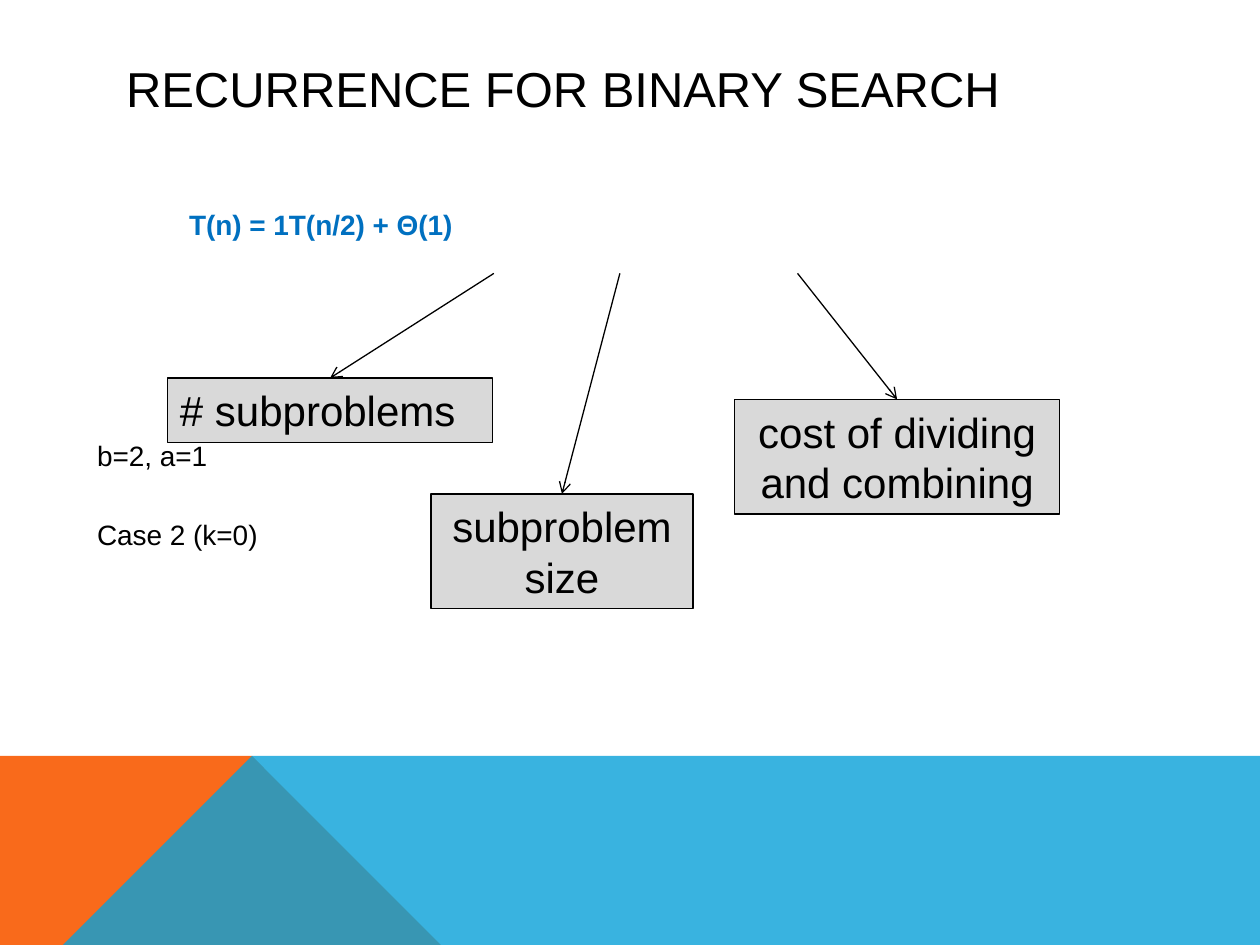
from lxml import etree
from pptx import Presentation
from pptx.dml.color import RGBColor
from pptx.enum.shapes import MSO_CONNECTOR, MSO_SHAPE
from pptx.enum.text import MSO_ANCHOR, MSO_AUTO_SIZE, PP_ALIGN
from pptx.oxml.ns import qn
from pptx.util import Inches, Pt

FONT = "Arial"
COLORS = {"ink": "000000", "formula": "0070C0", "box": "D9D9D9",
          "orange": "F96A1B", "blue": "08A1D9"}

TITLE = "RECURRENCE FOR BINARY SEARCH"
# text, level, left margin (in), space before (pt), color, bold
BODY = [
    ("T(n) = 1T(n/2) + Θ(1)", 0, 0.73, 0, "formula", True),
    ("b=2, a=1", 1, 0, 112.4, "ink", False),
    ("Case 2 (k=0)", 1, 0, 26.2, "ink", False),
]
# lines, left, top, width, height, alignment, arrow start x
CALLOUTS = [
    (["# subproblems"], 1.33, 3, 2.58, 0.51, PP_ALIGN.LEFT, 3.92),
    (["subproblem", "size"], 3.42, 3.92, 2.08, 0.91, PP_ALIGN.CENTER, 4.92),
    (["cost of dividing and combining"], 5.83, 3.17, 2.58, 0.91, PP_ALIGN.CENTER, 6.33),
]
ARROW_TOP = 2.17
# color, opacity in percent, outline points
BANDS = [
    ("orange", 100, [(0, 7.5), (0, 5.52), (2.23, 5.52), (3.91, 7.5)]),
    ("blue", 80, [(0, 7.5), (2.23, 5.52), (10, 5.52), (10, 7.5)]),
]


def rgb(name):
    return RGBColor.from_string(COLORS[name])


def style(paragraph, size, color="ink", bold=False):
    for run in paragraph.runs:
        run.font.name, run.font.size, run.font.bold = FONT, Pt(size), bold
        run.font.color.rgb = rgb(color)


def place(shape, left, top, width, height):
    shape.left, shape.top = Inches(left), Inches(top)
    shape.width, shape.height = Inches(width), Inches(height)


def add_band(slide, depth, color, opacity, points):
    builder = slide.shapes.build_freeform(*points[0], scale=Inches(1))
    builder.add_line_segments(points[1:], close=True)
    band = builder.convert_to_shape()
    band.shadow.inherit = False
    band.fill.solid()
    band.fill.fore_color.rgb = rgb(color)
    band.line.fill.background()
    if opacity < 100:
        fill_color = band.fill._xPr.find(".//" + qn("a:srgbClr"))
        etree.SubElement(fill_color, qn("a:alpha"), val=str(opacity * 1000))
    # Bands lie behind the placeholders
    slide.shapes._spTree.insert(2 + depth, band._element)


def add_callout(slide, lines, left, top, width, height, align, arrow_x):
    box = slide.shapes.add_shape(MSO_SHAPE.RECTANGLE, Inches(left), Inches(top),
                                 Inches(width), Inches(height))
    box.shadow.inherit = False
    box.fill.solid()
    box.fill.fore_color.rgb = rgb("box")
    box.line.color.rgb = rgb("ink")
    box.line.width = Pt(0.75)
    frame = box.text_frame
    frame.word_wrap = True
    frame.vertical_anchor = MSO_ANCHOR.MIDDLE
    frame.text = "\n".join(lines)
    for paragraph in frame.paragraphs:
        paragraph.alignment = align
        style(paragraph, 24)

    # Arrow to the middle of the top edge
    arrow = slide.shapes.add_connector(
        MSO_CONNECTOR.STRAIGHT, Inches(arrow_x), Inches(ARROW_TOP),
        Inches(left + width / 2), Inches(top))
    arrow.line.color.rgb = rgb("ink")
    arrow.line.width = Pt(0.75)
    etree.SubElement(arrow.line._get_or_add_ln(), qn("a:tailEnd"), type="arrow")
    etree.SubElement(arrow._element.spPr, qn("a:effectLst"))


def main():
    deck = Presentation()
    deck.slide_width, deck.slide_height = Inches(10), Inches(7.5)
    slide = deck.slides.add_slide(deck.slide_layouts[1])

    for depth, band in enumerate(BANDS):
        add_band(slide, depth, *band)

    # Title
    title = slide.shapes.title
    place(title, 0.9, 0.4, 8.22, 0.6)
    title.text_frame.text = TITLE
    title.text_frame.auto_size = MSO_AUTO_SIZE.NONE
    title.text_frame.vertical_anchor = MSO_ANCHOR.MIDDLE
    title.text_frame.paragraphs[0].alignment = PP_ALIGN.LEFT
    style(title.text_frame.paragraphs[0], 28)

    # Formula and notes
    body = slide.placeholders[1]
    place(body, 0.67, 1.6, 8.92, 5.5)
    frame = body.text_frame
    frame.text = "\n".join(item[0] for item in BODY)
    frame.auto_size = MSO_AUTO_SIZE.NONE
    for paragraph, (_, level, margin, before, color, bold) in zip(frame.paragraphs, BODY):
        paragraph.level = level
        props = paragraph._p.get_or_add_pPr()
        props.set("marL", str(Inches(margin)))
        props.set("indent", "0")
        etree.SubElement(props, qn("a:buNone"))
        paragraph.space_before = Pt(before)
        style(paragraph, 16, color, bold)

    for callout in CALLOUTS:
        add_callout(slide, *callout)

    deck.save("out.pptx")


if __name__ == "__main__":
    main()
